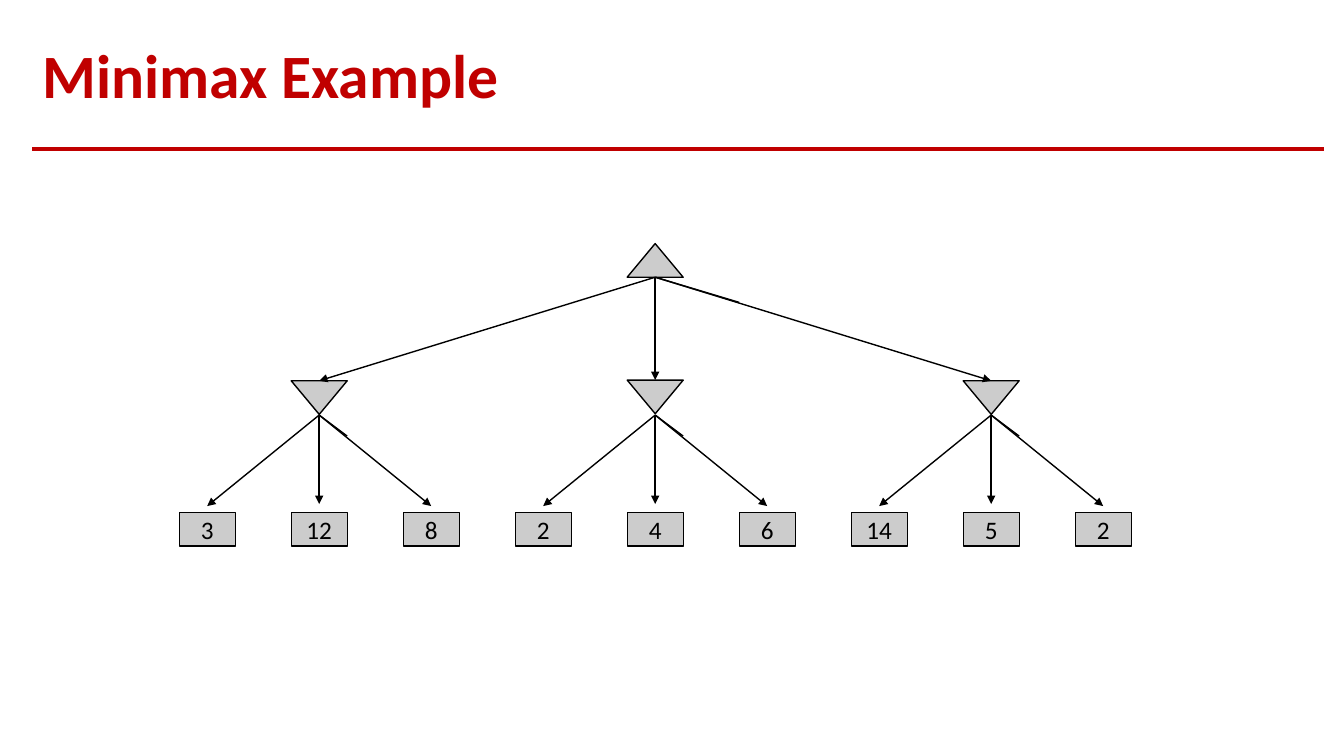
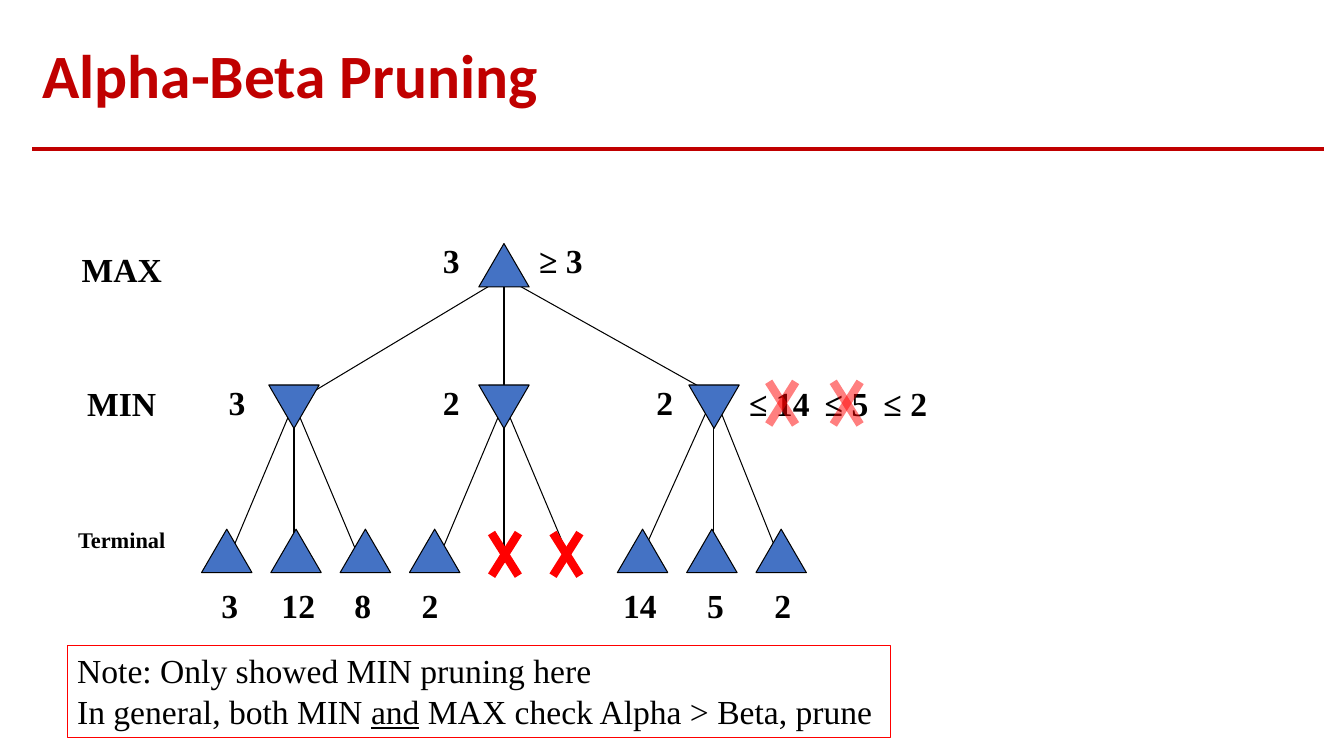
"""Build two slides on minimax search and alpha-beta pruning."""
from lxml.etree import SubElement
from pptx import Presentation
from pptx.dml.color import RGBColor
from pptx.enum.shapes import MSO_CONNECTOR, MSO_SHAPE as SHAPE
from pptx.enum.text import MSO_ANCHOR as ANCHOR, MSO_AUTO_SIZE as AUTO_SIZE, PP_ALIGN as ALIGN
from pptx.oxml.ns import qn
from pptx.util import Pt

COLORS = {"title": "C00000", "ink": "000000", "grey": "CCCCCC", "blue": "4472C4", "red": "FF0000"}
TITLE_FONT = {"name": "Calibri", "size": Pt(44), "bold": True}
LEAF_FONT = {"name": "Calibri", "size": Pt(18)}
NOTE_FONT = {"name": "Times New Roman", "size": Pt(24)}
LABEL_FONT = NOTE_FONT | {"bold": True}


def rgb(color):
    return RGBColor.from_string(COLORS[color])


def set_values(target, values):
    for name, value in values.items():
        setattr(target, name, value)


class Deck:
    def __init__(self):
        self.presentation = Presentation()
        set_values(self.presentation, {"slide_width": Pt(960), "slide_height": Pt(540)})
        self.slide = None

    def set_text(self, shape, paragraphs, font, color="ink", frame=None, paragraph_values=None):
        text_frame = shape.text_frame
        set_values(text_frame, {"auto_size": AUTO_SIZE.NONE, "word_wrap": True} | (frame or {}))
        for index, runs in enumerate(paragraphs):
            paragraph = text_frame.add_paragraph() if index else text_frame.paragraphs[0]
            set_values(paragraph, paragraph_values or {})
            for text, extra in runs:
                run = paragraph.add_run()
                run.text = text
                set_values(run.font, font | extra)
                run.font.color.rgb = rgb(color)

    def add_slide(self, title):
        self.slide = self.presentation.slides.add_slide(self.presentation.slide_layouts[5])
        placeholder = self.slide.shapes.title
        set_values(placeholder, {"left": Pt(23), "top": Pt(20), "width": Pt(923), "height": Pt(72)})
        self.set_text(placeholder, [[(title, {})]], TITLE_FONT, "title",
                      {"vertical_anchor": ANCHOR.MIDDLE}, {"alignment": ALIGN.LEFT, "line_spacing": 0.9})
        self.line((23, 106.5), (946, 106.5), 2.5, "title")

    def line(self, start, end, width=0.75, color="ink", arrow=False):
        connector = self.slide.shapes.add_connector(
            MSO_CONNECTOR.STRAIGHT, *(Pt(value) for value in (*start, *end)))
        connector.line.color.rgb = rgb(color)
        connector.line.width = Pt(width)
        properties = connector.element.spPr
        if arrow:
            SubElement(properties.find(qn("a:ln")), qn("a:tailEnd"), type="triangle")
        SubElement(properties, qn("a:effectLst"))

    def shape(self, kind, left, top, width, height, fill, outline=None, rotation=0):
        shape = self.slide.shapes.add_shape(kind, Pt(left), Pt(top), Pt(width), Pt(height))
        shape.shadow.inherit = False
        shape.rotation = rotation
        shape.fill.solid()
        shape.fill.fore_color.rgb = rgb(fill)
        if outline:
            shape.line.color.rgb = rgb("ink")
            shape.line.width = Pt(outline)
        else:
            shape.line.fill.background()
        return shape

    def triangle(self, center, top, width, height, fill, outline, down=False):
        self.shape(SHAPE.ISOSCELES_TRIANGLE, center - width / 2, top, width, height,
                   fill, outline, 180 if down else 0)

    def leaf(self, center, top, text):
        box = self.shape(SHAPE.RECTANGLE, center - 20, top, 40, 24, "grey", 0.75)
        frame = dict.fromkeys(("margin_left", "margin_top", "margin_right", "margin_bottom"), 0)
        frame |= {"word_wrap": False, "vertical_anchor": ANCHOR.MIDDLE}
        self.set_text(box, [[(text, {})]], LEAF_FONT, frame=frame,
                      paragraph_values={"alignment": ALIGN.CENTER})

    def label(self, text, left, top, width, alignment=ALIGN.LEFT, size=24):
        box = self.slide.shapes.add_textbox(Pt(left), Pt(top), Pt(width), Pt(36))
        self.set_text(box, [[(text, {"size": Pt(size)})]], LABEL_FONT,
                      paragraph_values={"alignment": alignment})

    def cross(self, center, middle, opacity=100):
        for rotation in (122.2, 57.8):
            bar = self.shape(SHAPE.RECTANGLE, center - 18, middle - 3, 36, 6, "red", rotation=rotation)
            if opacity < 100:
                color = bar.element.spPr.find(f"{qn('a:solidFill')}/{qn('a:srgbClr')}")
                SubElement(color, qn("a:alpha"), val=str(opacity * 1000))

    def note(self, left, top, width, height, paragraphs):
        box = self.slide.shapes.add_textbox(Pt(left), Pt(top), Pt(width), Pt(height))
        box.line.color.rgb = rgb("red")
        box.line.width = Pt(0.75)
        self.set_text(box, paragraphs, NOTE_FONT)


def build_minimax(deck):
    deck.add_slide("Minimax Example")
    root, step = 468, 80
    groups = (("3", "12", "8"), ("2", "4", "6"), ("14", "5", "2"))
    deck.triangle(root, 174, 40, 24, "grey", 1)
    for dx, dy in ((0, 24), (60, 18)):
        deck.line((root, 198), (root + dx, 198 + dy), 1)
    for group, values in enumerate(groups, -1):
        center = root + group * 3 * step
        top = 272 if group else 271.5
        deck.triangle(center, top, 40, 24, "grey", 1, down=True)
        deck.line((root, 198), (center, top), 1, arrow=True)
        for dx, dy in ((0, 24), (20, 15)):
            deck.line((center, 296.5), (center + dx, 296.5 + dy), 1)
        for offset, value in enumerate(values, -1):
            leaf_center = center + offset * step
            deck.line((center, 296.5), (leaf_center, 361.5 if offset else 360), 1, arrow=True)
            deck.leaf(leaf_center, 366, value)


def build_pruning(deck):
    deck.add_slide("Alpha-Beta Pruning")
    root = 360
    branches = ((210, 288, (162, 210, 258)), (360, 288, (312, 360, 408)), (510, 282, (456, 510, 558)))
    for center, top, ends in branches:
        deck.line((root, 198), (center, top))
        for end in ends:
            deck.line((center, top), (end, 402))
    for center, _, _ in branches:
        deck.triangle(center, 275, 36, 31, "blue", 0.75, down=True)
    deck.triangle(root, 174, 36, 31, "blue", 0.75)
    for position in (0, 1, 2, 3, 6, 7, 8):
        deck.triangle(162 + 49.5 * position, 378, 36, 31, "blue", 0.75)

    for text, top, size in (("MAX", 174, 24), ("MIN", 270, 24), ("Terminal", 372, 16)):
        deck.label(text, 48, top, 78, ALIGN.CENTER, size)
    for text, left, top in (("3", 294.5, 168), ("3", 141.5, 269.5), ("2", 294.5, 269.5), ("2", 447, 269.5)):
        deck.label(text, left, top, 41, ALIGN.RIGHT)
    for text, left, top, width in (("≥ 3", 378, 168, 96), ("≤ 14", 528, 270, 60),
                                   ("≤ 5", 582, 270, 48), ("≤ 2", 624, 270, 48)):
        deck.label(text, left, top, width)
    for text, left in (("3", 151), ("12", 194), ("8", 246), ("2", 294),
                       ("14", 438), ("5", 498), ("2", 546)):
        deck.label(text, left, 414, 24 if len(text) == 1 else 45)

    for center, middle, opacity in ((360.7, 396, 100), (404.6, 396, 100), (558.7, 288, 50), (604.8, 288, 50)):
        deck.cross(center, middle, opacity)
    deck.note(48, 461, 588, 65.5, [
        [("Note: Only showed MIN pruning here", {})],
        [("In general, both MIN ", {}), ("and", {"underline": True}),
         (" MAX check Alpha > Beta, prune", {})],
    ])


def main():
    deck = Deck()
    build_minimax(deck)
    build_pruning(deck)
    deck.presentation.save("out.pptx")


if __name__ == "__main__":
    main()
